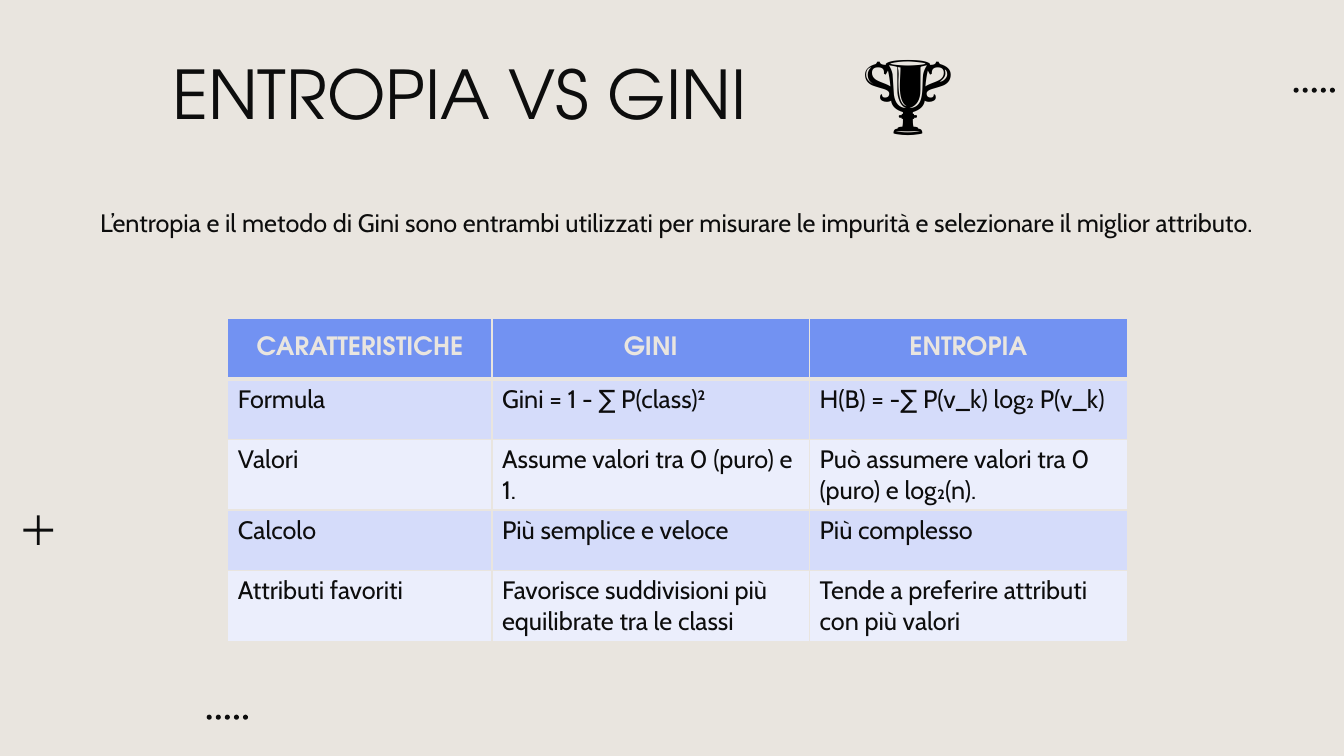
"""Build the slide comparing entropy and Gini."""
from dataclasses import dataclass

from lxml import etree
from pptx import Presentation
from pptx.dml.color import RGBColor
from pptx.enum.shapes import MSO_SHAPE as SHAPE
from pptx.enum.text import MSO_ANCHOR as ANCHOR, PP_ALIGN as ALIGN
from pptx.oxml.ns import qn
from pptx.util import Inches, Pt

INK, PAPER, HEADER = "0D0D0D", "E9E5DF", "7292F2"
BANDS = ("D5DCFA", "EBEEFC")
BODY_FONT, HEAD_FONT = "Cabin", "TeX Gyre Adventor"


@dataclass
class Label:
    text: str
    left: float
    top: float
    width: float
    height: float
    size: int
    font: str
    color: str = INK
    align: ALIGN = ALIGN.CENTER
    anchor: ANCHOR = ANCHOR.TOP
    inset: float = 0.1


@dataclass
class DotRow:
    left: float
    top: float
    count: int = 5
    pitch: float = 0.09
    size: float = 0.05


LABELS = [
    Label("L’entropia e il metodo di Gini sono entrambi utilizzati per misurare "
          "le impurità e selezionare il miglior attributo.",
          0.89, 1.96, 11.64, 2.4, 18, BODY_FONT),
    Label("ENTROPIA VS GINI", 0.89, 0.12, 7.33, 1.6, 48, HEAD_FONT,
          anchor=ANCHOR.MIDDLE),
    Label("🏆", 8.45, 0.27, 2.72, 1.31, 72, "Arial", "000000", ALIGN.LEFT, inset=0.05),
]
DOT_ROWS = [DotRow(12.83, 0.87), DotRow(2.05, 7.09)]
COLUMNS = (2.62, 3.15, 3.15)
ROW_HEIGHT = 0.6
ROWS = [
    ("CARATTERISTICHE", "GINI", "ENTROPIA"),
    ("Formula", "Gini = 1 - ∑ P(class)²", "H(B) = -∑ P(v_k) log₂ P(v_k)"),
    ("Valori", "Assume valori tra 0 (puro) e 1.",
     "Può assumere valori tra 0 (puro) e log₂(n)."),
    ("Calcolo", "Più semplice e veloce", "Più complesso"),
    ("Attributi favoriti", "Favorisce suddivisioni più equilibrate tra le classi",
     "Tende a preferire attributi con più valori"),
]


def rgb(color: str) -> RGBColor:
    return RGBColor.from_string(color)


def set_font(p, font: str, size: int, color: str, bold: bool = False) -> None:
    p.font.name, p.font.size, p.font.bold = font, Pt(size), bold
    p.font.color.rgb = rgb(color)


def add_mark(s, kind: SHAPE, left: float, top: float, size: float):
    sp = s.shapes.add_shape(kind, Inches(left), Inches(top), Inches(size), Inches(size))
    sp.shadow.inherit = False
    sp.fill.solid()
    sp.fill.fore_color.rgb = rgb(INK)
    sp.line.fill.background()
    return sp


def add_dots(s, row: DotRow) -> None:
    for i in range(row.count):
        add_mark(s, SHAPE.OVAL, row.left + i * row.pitch, row.top, row.size)


def add_label(s, label: Label) -> None:
    sp = s.shapes.add_textbox(Inches(label.left), Inches(label.top),
                              Inches(label.width), Inches(label.height))
    tf = sp.text_frame
    tf.word_wrap = True
    tf.vertical_anchor = label.anchor
    tf.margin_left = tf.margin_right = Inches(0.1)
    tf.margin_top = tf.margin_bottom = Inches(label.inset)
    p = tf.paragraphs[0]
    p.text, p.alignment = label.text, label.align
    set_font(p, label.font, label.size, label.color)


def set_borders(cell, bottom: int) -> None:
    tc_pr = cell._tc.get_or_add_tcPr()
    widths = {"a:lnL": 1, "a:lnR": 1, "a:lnT": 1, "a:lnB": bottom}
    for i, (tag, width) in enumerate(widths.items()):
        ln = etree.Element(qn(tag), w=str(Pt(width)))
        fill = etree.SubElement(ln, qn("a:solidFill"))
        etree.SubElement(fill, qn("a:srgbClr"), val=PAPER)
        tc_pr.insert(i, ln)


def style_cell(cell, text: str, row: int) -> None:
    header = row == 0
    cell.fill.solid()
    cell.fill.fore_color.rgb = rgb(HEADER if header else BANDS[(row - 1) % 2])
    set_borders(cell, 3 if header else 1)
    cell.vertical_anchor = ANCHOR.MIDDLE if header else ANCHOR.TOP
    p = cell.text_frame.paragraphs[0]
    p.text = text
    p.alignment = ALIGN.CENTER if header else ALIGN.LEFT
    set_font(p, HEAD_FONT if header else BODY_FONT, 18, PAPER if header else INK, header)


def add_comparison(s) -> None:
    table = s.shapes.add_table(len(ROWS), len(COLUMNS), Inches(2.26), Inches(3.16),
                               Inches(sum(COLUMNS)), Inches(ROW_HEIGHT * len(ROWS))).table
    for column, width in zip(table.columns, COLUMNS):
        column.width = Inches(width)
    for r, texts in enumerate(ROWS):
        table.rows[r].height = Inches(ROW_HEIGHT)
        for c, text in enumerate(texts):
            style_cell(table.cell(r, c), text, r)


def main() -> None:
    prs = Presentation()
    prs.slide_width, prs.slide_height = Inches(13.33), Inches(7.5)
    s = prs.slides.add_slide(prs.slide_layouts[6])
    s.background.fill.solid()
    s.background.fill.fore_color.rgb = rgb(PAPER)
    plus = add_mark(s, SHAPE.MATH_PLUS, 0.18, 5.06, 0.4)
    plus.adjustments[0] = 0.07
    for row in DOT_ROWS:
        add_dots(s, row)
    for label in LABELS:
        add_label(s, label)
    add_comparison(s)
    prs.save("out.pptx")


if __name__ == "__main__":
    main()
